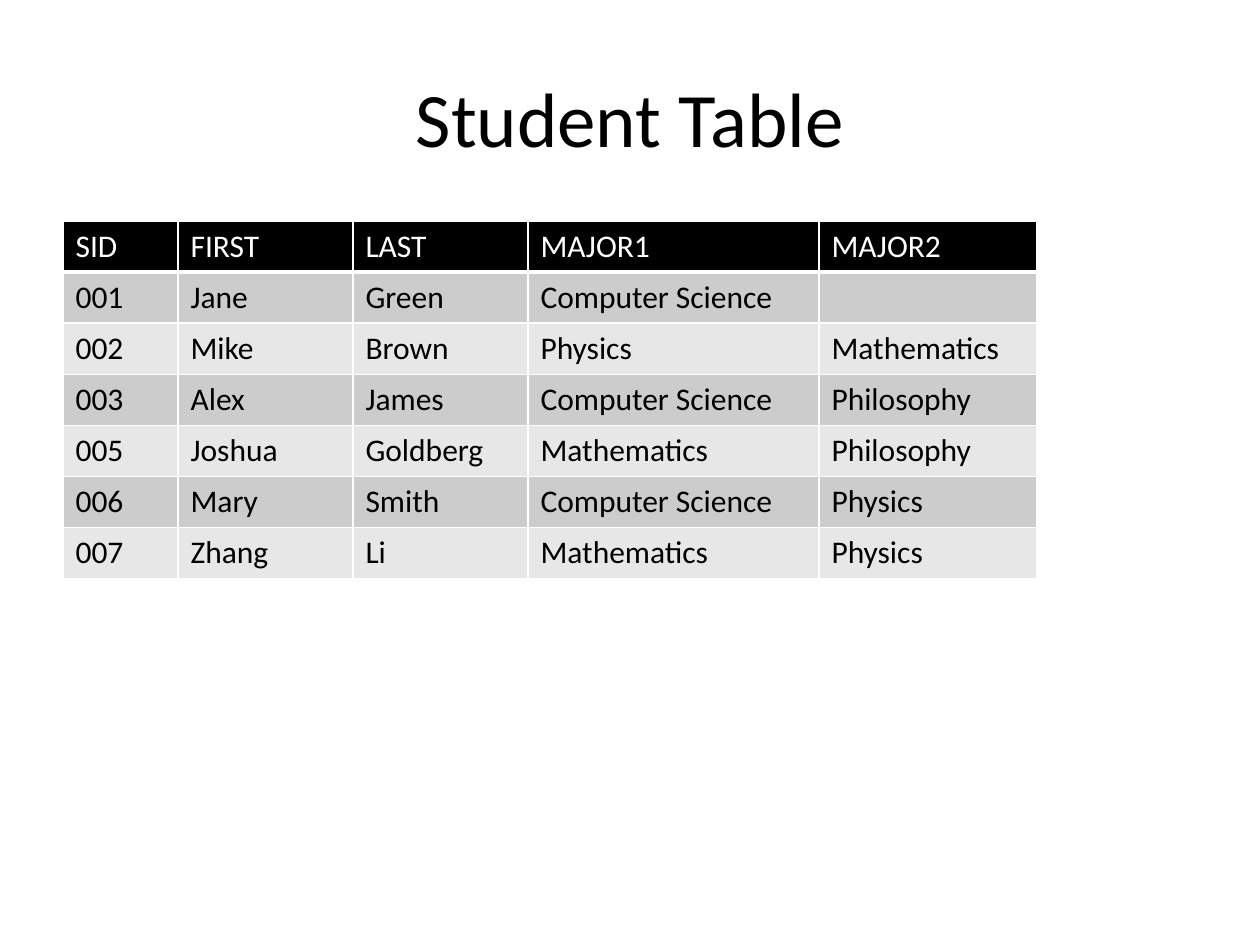
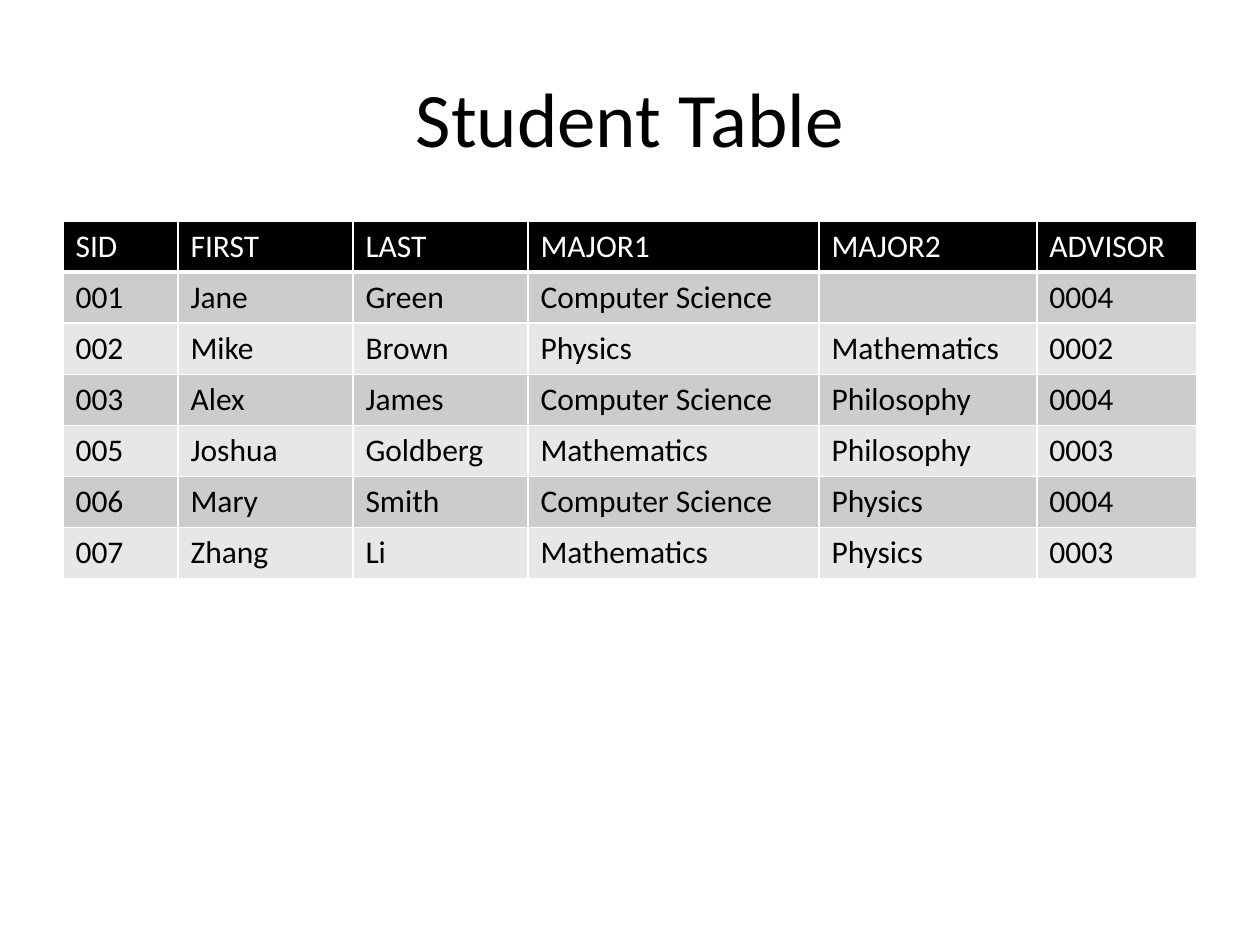
from lxml import etree
from pptx import Presentation
from pptx import util as u
from pptx.dml.color import RGBColor
from pptx.enum import text
from pptx.oxml.ns import qn

PX = 914400 // 126
FONT = "Calibri"
BLACK, WHITE = "000000", "FFFFFF"
BANDS = ("CCCCCC", "E7E7E7")
TITLE_ONLY = 5
ROW_HEIGHT = 51

COLUMN_WIDTHS = {"SID": 115, "FIRST": 175, "LAST": 175,
                 "MAJOR1": 291, "MAJOR2": 218, "ADVISOR": 160}
STUDENTS = [
    ("001", "Jane", "Green", "Computer Science", "", "0004"),
    ("002", "Mike", "Brown", "Physics", "Mathematics", "0002"),
    ("003", "Alex", "James", "Computer Science", "Philosophy", "0004"),
    ("005", "Joshua", "Goldberg", "Mathematics", "Philosophy", "0003"),
    ("006", "Mary", "Smith", "Computer Science", "Physics", "0004"),
    ("007", "Zhang", "Li", "Mathematics", "Physics", "0003"),
]


def px(length):
    return u.Emu(length * PX)


def rgb(color):
    return RGBColor.from_string(color)


def style_paragraph(paragraph, size, color):
    font = paragraph.font
    font.name, font.size, font.bold = FONT, u.Pt(size), False
    font.color.rgb = rgb(color)


def add_titled_slide(deck, heading):
    slide = deck.slides.add_slide(deck.slide_layouts[TITLE_ONLY])
    title = slide.shapes.title
    title.left, title.top, title.width, title.height = map(px, (63, 38, 1134, 158))
    title.text_frame.text = heading
    title.text_frame.vertical_anchor = text.MSO_ANCHOR.MIDDLE
    paragraph = title.text_frame.paragraphs[0]
    paragraph.alignment = text.PP_ALIGN.CENTER
    style_paragraph(paragraph, 44, BLACK)
    return slide


def set_borders(cell, bottom_width):
    """Draw white cell borders, 1 pt wide except for the bottom one."""
    properties = cell._tc.get_or_add_tcPr()
    for side, width in (("L", 1), ("R", 1), ("T", 1), ("B", bottom_width)):
        line = etree.SubElement(properties, qn(f"a:ln{side}"), w=str(u.Pt(width)))
        fill = etree.SubElement(line, qn("a:solidFill"))
        etree.SubElement(fill, qn("a:srgbClr"), val=WHITE)


def fill_cell(cell, value, fill, color, bottom_width=1):
    set_borders(cell, bottom_width)
    cell.fill.solid()
    cell.fill.fore_color.rgb = rgb(fill)
    cell.text = value
    style_paragraph(cell.text_frame.paragraphs[0], 18, color)


def add_student_table(slide, headings):
    """Tabulate the students, keeping only the leading columns in headings."""
    widths = [COLUMN_WIDTHS[heading] for heading in headings]
    row_count = len(STUDENTS) + 1
    table = slide.shapes.add_table(
        row_count, len(headings), px(63), px(221),
        px(sum(widths)), px(row_count * ROW_HEIGHT)).table
    for column, width in zip(table.columns, widths):
        column.width = px(width)
    for row in table.rows:
        row.height = px(ROW_HEIGHT)
    for column, heading in enumerate(headings):
        fill_cell(table.cell(0, column), heading, BLACK, WHITE, bottom_width=3)
        for row, student in enumerate(STUDENTS):
            fill_cell(table.cell(row + 1, column), student[column],
                      BANDS[row % 2], BLACK)


def main():
    deck = Presentation()
    deck.slide_width, deck.slide_height = px(1260), px(945)
    all_headings = list(COLUMN_WIDTHS)
    for headings in (all_headings[:-1], all_headings):
        add_student_table(add_titled_slide(deck, "Student Table"), headings)
    deck.save("out.pptx")


if __name__ == "__main__":
    main()
